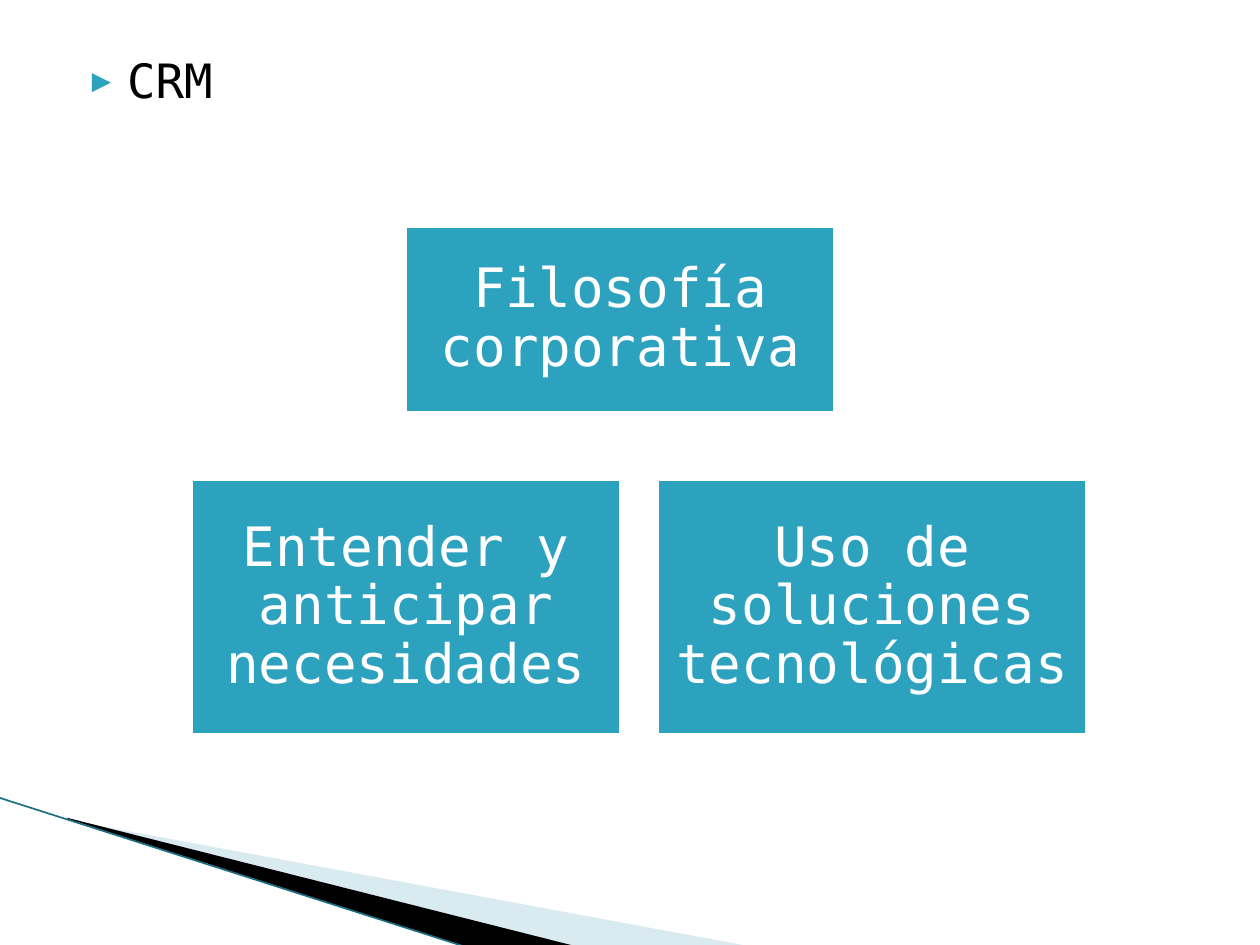
"""Build the CRM slide with three diagram boxes and a corner decoration."""
from dataclasses import dataclass
from typing import Any

from lxml import etree
from pptx import Presentation, util as u
from pptx.dml import color
from pptx.enum import shapes, text
from pptx.oxml import ns

FONT = "DejaVu Sans Mono"
TEAL, WHITE, BLACK = "2DA2BF", "FFFFFF", "000000"
GRID_LEFT, COLUMN_WIDTH, COLUMN_PITCH = 1.5, 3.44, 3.7


@dataclass(frozen=True)
class Box:
    """Diagram box placed by grid column, with its own top and height."""
    caption: str
    column: float
    top: float
    height: float


@dataclass(frozen=True)
class Wedge:
    """Filled outline in the lower left corner."""
    points: tuple[tuple[float, float], ...]
    fill: str
    opacity: int = 100


BOXES = (
    Box("Filosofía corporativa", 0.46, 1.78, 1.51),
    Box("Entender y anticipar necesidades", 0, 3.79, 2.06),
    Box("Uso de soluciones tecnológicas", 1, 3.79, 2.06),
)
WEDGES = (
    Wedge(((0.55, 6.51), (5.95, 7.51), (4.56, 7.51), (0.55, 6.5)), "A0CBDC", 40),
    Wedge(((0.53, 6.49), (4.57, 7.51), (3.72, 7.52), (0.54, 6.5)), BLACK),
)


def rgb(value: str) -> color.RGBColor:
    """Turn a hex string into a colour."""
    return color.RGBColor.from_string(value)


def assign(target: Any, values: dict[str, Any]) -> None:
    """Set every attribute named in the dict."""
    for name, value in values.items():
        setattr(target, name, value)


def add_element(parent: Any, tag: str, **attributes: str) -> Any:
    """Append a DrawingML element."""
    return etree.SubElement(parent, ns.qn(tag), attributes)


def paint(shape: Any, fill: str) -> None:
    """Give a shape a plain fill without shadow."""
    shape.shadow.inherit = False
    shape.fill.solid()
    shape.fill.fore_color.rgb = rgb(fill)


def write(paragraph: Any, words: str, size: float, ink: str) -> None:
    """Add one formatted run."""
    run = paragraph.add_run()
    run.text = words
    assign(run.font, {"name": FONT, "size": u.Pt(size), "bold": False})
    run.font.color.rgb = rgb(ink)


def draw_wedge(slide: Any, wedge: Wedge) -> None:
    """Draw one corner wedge."""
    points = [(u.Inches(x), u.Inches(y)) for x, y in wedge.points]
    builder = slide.shapes.build_freeform(*points[0])
    builder.add_line_segments(points[1:], close=True)
    shape = builder.convert_to_shape()
    paint(shape, wedge.fill)
    shape.line.fill.background()
    if wedge.opacity < 100:
        fill_color = shape.element.spPr.find(".//" + ns.qn("a:srgbClr"))
        add_element(fill_color, "a:alpha", val=str(wedge.opacity * 1000))


def draw_edge(slide: Any) -> None:
    """Draw the thin line along the wedges."""
    ends = (u.Inches(value) for value in (-0.01, 6.33, 3.71, 7.52))
    edge = slide.shapes.add_connector(shapes.MSO_CONNECTOR.STRAIGHT, *ends)
    edge.line.width = u.Pt(0.95)
    edge.line.color.rgb = rgb("1B6F84")
    add_element(edge.element.spPr, "a:effectLst")


def draw_box(slide: Any, box: Box) -> None:
    """Draw one captioned diagram box."""
    left = GRID_LEFT + box.column * COLUMN_PITCH
    area = (u.Inches(value) for value in (left, box.top, COLUMN_WIDTH, box.height))
    shape = slide.shapes.add_shape(shapes.MSO_SHAPE.RECTANGLE, *area)
    paint(shape, TEAL)
    shape.line.color.rgb = rgb(WHITE)
    shape.line.width = u.Pt(4.33)
    frame = shape.text_frame
    margins = {f"margin_{side}": u.Inches(0.13) for side in ("left", "top", "right", "bottom")}
    assign(frame, {"word_wrap": True, "vertical_anchor": text.MSO_ANCHOR.MIDDLE, **margins})
    paragraph = frame.paragraphs[0]
    assign(paragraph, {"alignment": text.PP_ALIGN.CENTER, "line_spacing": 0.9})
    write(paragraph, box.caption, 31, WHITE)


def fill_body(body: Any) -> None:
    """Place the bulleted heading in the body placeholder."""
    area = {"left": 0.51, "top": 0.36, "width": 9, "height": 0.56}
    assign(body, {name: u.Inches(value) for name, value in area.items()})
    assign(body.text_frame, {"auto_size": text.MSO_AUTO_SIZE.NONE,
                             "vertical_anchor": text.MSO_ANCHOR.TOP})
    paragraph = body.text_frame.paragraphs[0]
    paragraph.space_before = u.Pt(4)
    write(paragraph, "CRM", 27, BLACK)
    properties = paragraph._p.get_or_add_pPr()
    properties.set("marL", str(u.Inches(0.4)))
    properties.set("indent", str(u.Inches(-0.28)))
    add_element(add_element(properties, "a:buClr"), "a:srgbClr", val=TEAL)
    add_element(properties, "a:buSzPct", val="68000")
    add_element(properties, "a:buFont", typeface=FONT)
    add_element(properties, "a:buChar", char="▶")


def main() -> None:
    """Assemble and save the presentation."""
    presentation = Presentation()
    assign(presentation, {"slide_width": u.Inches(10), "slide_height": u.Inches(7.5)})
    slide = presentation.slides.add_slide(presentation.slide_layouts[1])
    title = slide.shapes.title.element
    title.getparent().remove(title)
    for wedge in WEDGES:
        draw_wedge(slide, wedge)
    draw_edge(slide)
    for box in BOXES:
        draw_box(slide, box)
    fill_body(slide.placeholders[1])
    presentation.save("out.pptx")


main()
